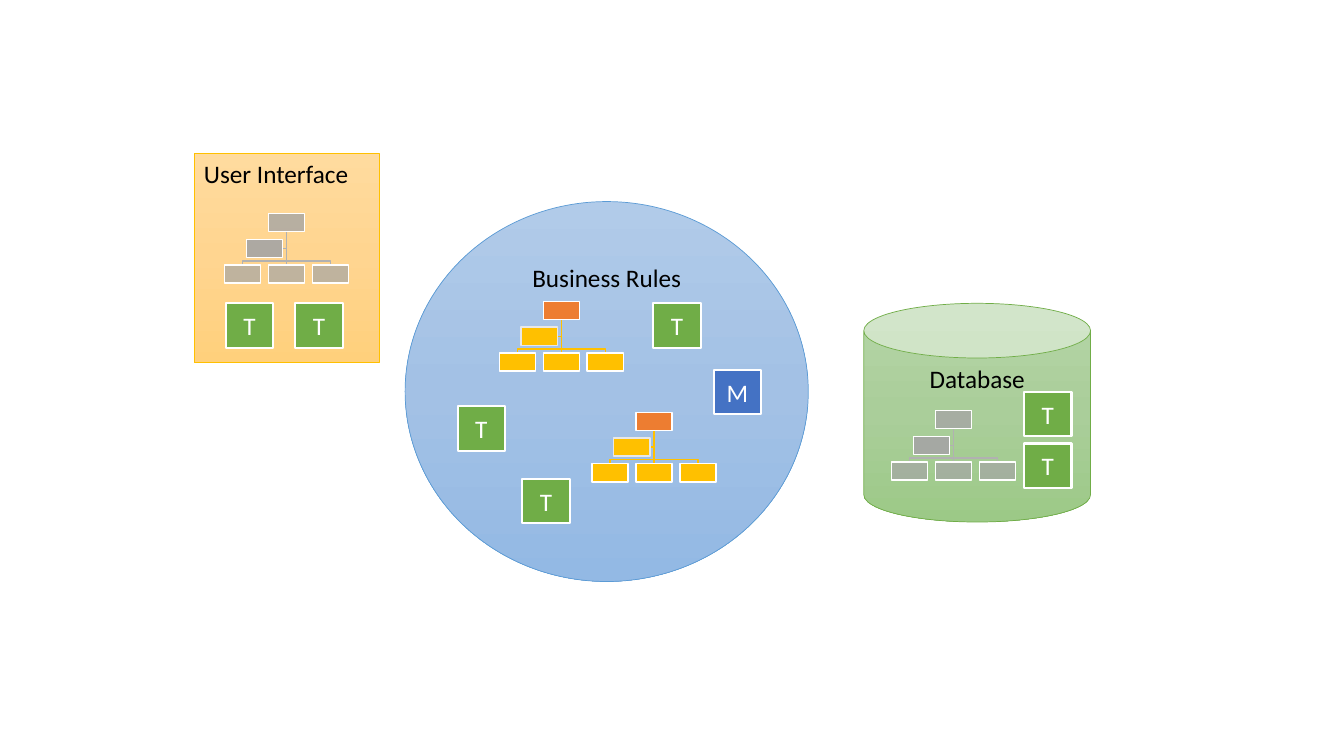
"""Build a slide of an application's three layers with their object trees and tiles."""
from copy import deepcopy

from lxml import etree
from pptx import Presentation
from pptx.dml.color import RGBColor
from pptx.enum.shapes import MSO_SHAPE as Preset
from pptx.enum.text import MSO_ANCHOR as Anchor, PP_ALIGN as Align
from pptx.oxml.ns import qn
from pptx.util import Pt

BLACK = RGBColor(0, 0, 0)
WHITE = RGBColor(255, 255, 255)
PALE = RGBColor(0xE7, 0xE7, 0xE7)
GOLD = RGBColor(0xFF, 0xC0, 0x00)
ORANGE = RGBColor(0xED, 0x7D, 0x31)
GREEN = RGBColor(0x70, 0xAD, 0x47)
BLUE = RGBColor(0x44, 0x72, 0xC4)
SKY = RGBColor(0x5B, 0x9B, 0xD5)
GRAY = RGBColor(0xA5, 0xA5, 0xA5)
SILVER = RGBColor(0xB1, 0xB1, 0xB1)
GREEN_FADE = [RGBColor.from_string(tone) for tone in ("B5D5A7", "AACE9A", "9CC987")]
BLUE_FADE = [RGBColor.from_string(tone) for tone in ("B1CBE9", "A3C1E5", "93B9E4")]
GOLD_FADE = [RGBColor.from_string(tone) for tone in ("FFDB9E", "FFD590", "FFD07C")]

LAYERS = [
    ("Database", Preset.CAN, (617, 216.7, 162, 156.2), GREEN_FADE, GREEN, Align.CENTER),
    ("Business Rules", Preset.OVAL, (289.4, 144, 288, 271.4), BLUE_FADE, SKY, Align.CENTER),
    ("User Interface", Preset.RECTANGLE, (138.6, 109.4, 132.5, 149.8), GOLD_FADE, GOLD, Align.LEFT),
]
BRIGHT = {"wire": GOLD, "root": (ORANGE, 100), "leaf": (GOLD, 100),
          "aide": (GOLD, 100), "aide_edge": PALE}
FADED = {"wire": SILVER, "root": (GRAY, 80), "leaf": (GRAY, 70),
         "aide": (GRAY, 90), "aide_edge": WHITE}
TREES = [(401, 215.3, BRIGHT), (467.2, 294.5, BRIGHT),
         (681.1, 293.2, FADED), (204.7, 152.6, FADED)]
TILES = [
    ("T", 466.6, 216.7, GREEN), ("T", 326.9, 290.2, GREEN), ("T", 373, 342, GREEN),
    ("M", 509.8, 264.2, BLUE), ("T", 731.5, 280.1, GREEN), ("T", 731.5, 316.8, GREEN),
    ("T", 161.3, 216.7, GREEN), ("T", 211, 216.7, GREEN),
]
NODE_WIDTH, NODE_HEIGHT = 25.92, 12.96
LEAF_STEP, LEAF_DROP, BUS_DROP = 31.4, 36.75, 33.9
AIDE_SHIFT, AIDE_DROP = 15.8, 18.4
TILE_WIDTH, TILE_HEIGHT = 33.9, 31.7

deck = Presentation()
deck.slide_width, deck.slide_height = Pt(960), Pt(540)
page = deck.slides.add_slide(deck.slide_layouts[6])


def add_box(preset, frame, edge, weight):
    """Add a shadowless preset shape with a coloured outline."""
    box = page.shapes.add_shape(preset, *map(Pt, frame))
    box.shadow.inherit = False
    box.line.color.rgb, box.line.width = edge, Pt(weight)
    return box


def paint(box, color, opacity=100):
    """Fill a shape with one colour."""
    box.fill.solid()
    box.fill.fore_color.rgb = color
    if opacity < 100:
        tone = box._element.spPr.find(qn("a:solidFill")).find(qn("a:srgbClr"))
        etree.SubElement(tone, qn("a:alpha"), val=str(opacity * 1000))


def fade(box, colors):
    """Fill a shape from top to bottom through three colours."""
    box.fill.gradient()
    box.fill.gradient_angle = 270
    stops = box._element.spPr.find(qn("a:gradFill")).find(qn("a:gsLst"))
    stops.insert(1, deepcopy(stops[0]))
    for index, (stop, color) in enumerate(zip(box.fill.gradient_stops, colors)):
        stop.position, stop.color.rgb = index / 2, color


def write(box, text, color, align, anchor):
    """Put one line of text in a shape."""
    box.text_frame.word_wrap = True
    box.text_frame.vertical_anchor = anchor
    para = box.text_frame.paragraphs[0]
    para.alignment = align
    span = para.add_run()
    span.text = text
    for name, value in {"name": "Calibri", "size": Pt(18)}.items():
        setattr(span.font, name, value)
    span.font.color.rgb = color


def add_wire(points, color):
    """Draw an open bent line."""
    start, *rest = [(Pt(x), Pt(y)) for x, y in points]
    builder = page.shapes.build_freeform(*start)
    builder.add_line_segments(rest, close=False)
    wire = builder.convert_to_shape()
    wire.shadow.inherit = False
    wire.fill.background()
    wire.line.color.rgb, wire.line.width = color, Pt(1)


def add_tree(center, top, style):
    """Draw a root, its aide and three leaves, joined by wires."""
    base, bus, floor = top + NODE_HEIGHT, top + BUS_DROP, top + LEAF_DROP
    aide_middle = top + AIDE_DROP + NODE_HEIGHT / 2
    aide_right = center - AIDE_SHIFT + NODE_WIDTH / 2
    leaves = [center + step * LEAF_STEP for step in (-1, 0, 1)]
    add_wire([(center, base), (center, aide_middle), (aide_right, aide_middle)], style["wire"])
    for leaf in leaves:
        bend = [] if leaf == center else [(center, bus), (leaf, bus)]
        add_wire([(center, base), *bend, (leaf, floor)], style["wire"])
    nodes = [(center, top, "root", WHITE)]
    nodes += [(leaf, floor, "leaf", WHITE) for leaf in leaves]
    nodes.append((center - AIDE_SHIFT, top + AIDE_DROP, "aide", style["aide_edge"]))
    for middle, y, role, edge in nodes:
        frame = (middle - NODE_WIDTH / 2, y, NODE_WIDTH, NODE_HEIGHT)
        paint(add_box(Preset.RECTANGLE, frame, edge, 1), *style[role])


for title, preset, frame, colors, edge, align in LAYERS:
    layer = add_box(preset, frame, edge, 0.5)
    fade(layer, colors)
    write(layer, title, BLACK, align, Anchor.TOP)

for tree in TREES:
    add_tree(*tree)

for letter, left, top, color in TILES:
    tile = add_box(Preset.RECTANGLE, (left, top, TILE_WIDTH, TILE_HEIGHT), WHITE, 1.5)
    paint(tile, color)
    write(tile, letter, WHITE, Align.CENTER, Anchor.MIDDLE)

deck.save("out.pptx")
